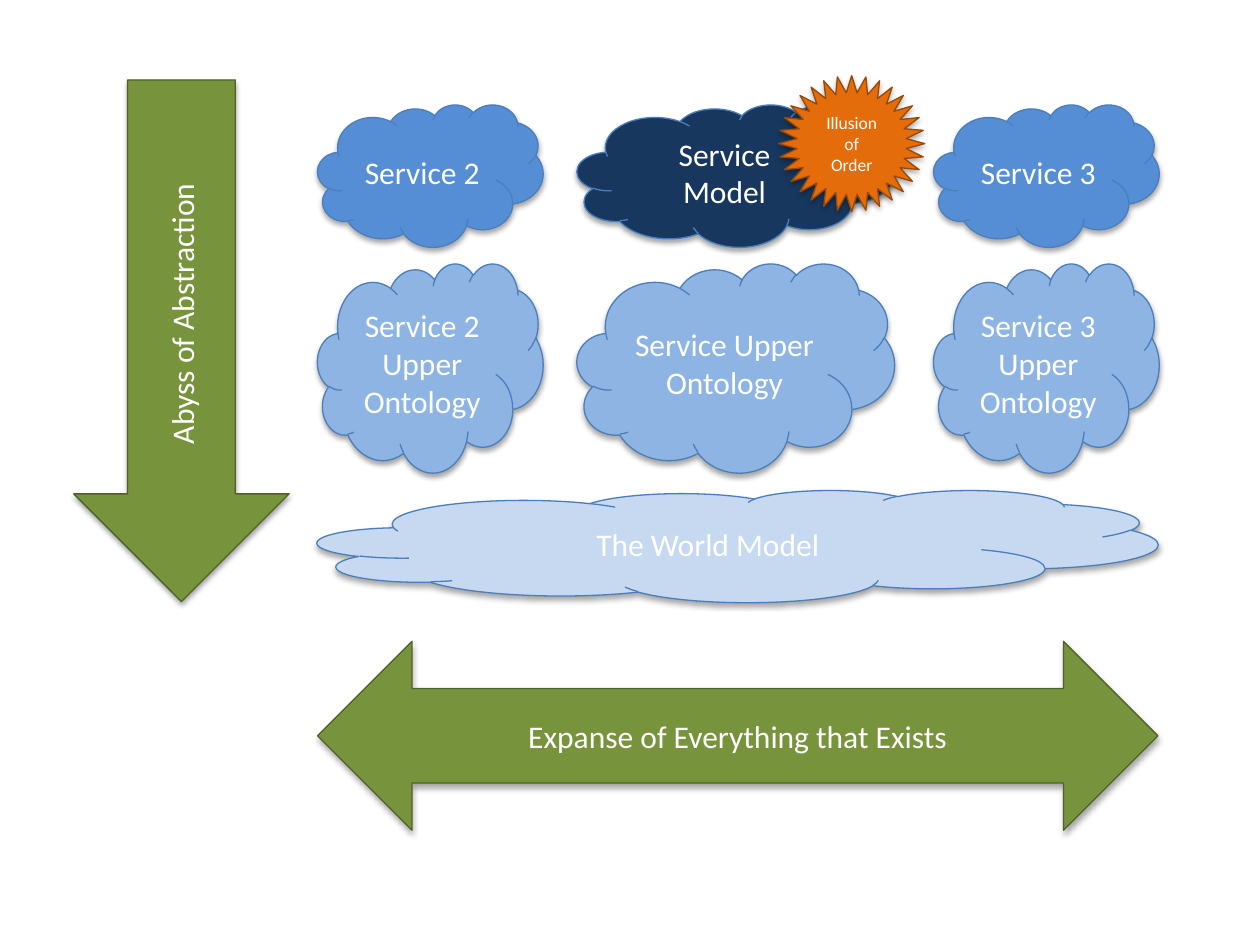
from lxml.etree import SubElement
from pptx import Presentation
from pptx.dml.color import RGBColor
from pptx.enum.shapes import MSO_SHAPE
from pptx.enum.text import MSO_ANCHOR, PP_ALIGN
from pptx.oxml.ns import qn
from pptx.util import Inches, Pt

COLORS = {
    "navy": "17375E", "blue": "558ED5", "light": "8EB4E3", "pale": "C6D9F1",
    "blue line": "4B7EBC", "green": "77933C", "green line": "4F6228",
    "orange": "E46C0A", "orange line": "984807", "white": "FFFFFF",
}

prs = Presentation()
prs.slide_width, prs.slide_height = Inches(10), Inches(7.5)
slide = prs.slides.add_slide(prs.slide_layouts[6])


def add_soft_shadow(s):
    s.shadow.inherit = False
    effects = s.element.spPr.find(qn("a:effectLst"))
    shadow = SubElement(effects, qn("a:outerShdw"), blurRad=str(Pt(3.1)),
                        dist=str(Pt(1.8)), dir="5400000", rotWithShape="0")
    color = SubElement(shadow, qn("a:srgbClr"), val="000000")
    SubElement(color, qn("a:alpha"), val="35000")


def add_label_shape(kind, box, fill, line, text, size=18):
    s = slide.shapes.add_shape(kind, *[Inches(v) for v in box])
    s.fill.solid()
    s.fill.fore_color.rgb = RGBColor.from_string(COLORS[fill])
    s.line.color.rgb = RGBColor.from_string(COLORS[line])
    s.line.width = Pt(0.75)
    add_soft_shadow(s)
    tf = s.text_frame
    tf.word_wrap = True
    tf.vertical_anchor = MSO_ANCHOR.MIDDLE
    tf.text = text
    for p in tf.paragraphs:
        p.alignment = PP_ALIGN.CENTER
        for r in p.runs:
            r.font.name = "Calibri"
            r.font.size = Pt(size)
            r.font.color.rgb = RGBColor.from_string(COLORS["white"])
    return s


# Service clouds: one column per service, model above upper ontology
columns = [
    (4.58, 2.52, "navy", "Service\nModel", "Service Upper\nOntology"),
    (7.41, 1.79, "blue", "Service 3", "Service 3 Upper\nOntology"),
    (2.52, 1.79, "blue", "Service 2", "Service 2 Upper\nOntology"),
]
for left, width, fill, model, ontology in columns:
    for top, height, color, text in [(0.83, 1.13, fill, model),
                                     (2.09, 1.66, "light", ontology)]:
        add_label_shape(MSO_SHAPE.CLOUD, (left, top, width, height),
                        color, "blue line", text)

# World model cloud
add_label_shape(MSO_SHAPE.CLOUD, (2.52, 3.89, 6.67, 0.89),
                "pale", "blue line", "The World Model")

# Abstraction arrow: mirrored and turned so it points down, text reads up
abyss = add_label_shape(MSO_SHAPE.RIGHT_ARROW, (-0.63, 1.85, 4.14, 1.71),
                        "green", "green line", "Abyss of Abstraction")
abyss.rotation = 270
abyss.element.spPr.xfrm.set("flipH", "1")

# Expanse arrow
add_label_shape(MSO_SHAPE.LEFT_RIGHT_ARROW, (2.52, 5.09, 6.67, 1.5),
                "green", "green line", "Expanse of Everything that Exists")

# Starburst on the service model
add_label_shape(MSO_SHAPE.STAR_32_POINT, (6.18, 0.6, 1.16, 1.08),
                "orange", "orange line", "Illusion of Order", 10)

prs.save("out.pptx")
